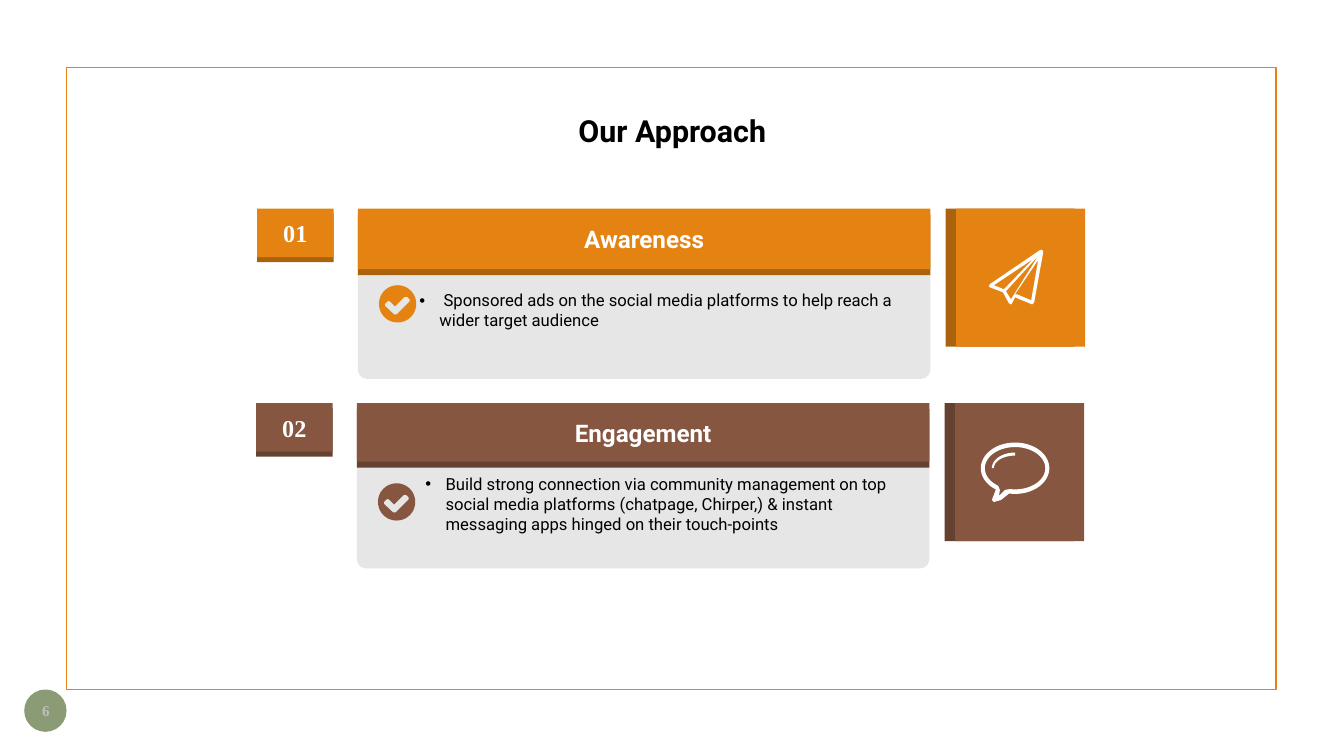
"""Build the "Our Approach" slide on a grid of tenth-of-an-inch cells."""
import math

from lxml import etree
from pptx import Presentation, util as u
from pptx.dml.color import RGBColor
from pptx.enum import shapes, text
from pptx.oxml.ns import qn

CELL = u.Inches(0.1)
COLUMNS, ROWS = 133.33, 75
COLOURS = {
    "orange": "E48312", "dark orange": "AB620D",
    "brown": "865640", "dark brown": "654130",
    "panel": "E6E6E6", "sage": "8B9B76", "number": "BFBFBF",
    "black": "000000", "white": "FFFFFF",
}
SANS, SERIF = "Roboto", "Times New Roman"
KIND = shapes.MSO_SHAPE
CENTRE = text.PP_ALIGN.CENTER

STEPS = [
    dict(number="01", heading="Awareness", colour="orange", left=25.5, top=20.7,
         header=6, body=10.4, tick=(39.45, 30.15), words_at=(41.6, 28.8), before=2.4,
         words=" Sponsored ads on the social media platforms to help reach a "
               "wider target audience"),
    dict(number="02", heading="Engagement", colour="brown", left=25.4, top=40,
         header=5.8, body=10.1, tick=(39.35, 49.8), words_at=(42.2, 47), before=0,
         words="Build strong connection via community management on top social "
               "media platforms (chatpage, Chirper,) & instant messaging apps "
               "hinged on their touch-points"),
]
TICK = [(1.2, -0.45), (0.95, -0.7), (0.7, -0.7), (-0.25, 0.25), (-0.75, -0.25),
        (-0.95, -0.3), (-1.25, 0), (-1.25, 0.2), (-0.35, 1.05), (-0.1, 1.05),
        (1.2, -0.25)]
PLANE = [
    [(103.4, 24.8), (103.2, 24.8), (98.2, 28.2), (98.1, 28.4), (98.2, 28.5),
     (99.5, 29), (100.1, 30.1), (100.3, 30.2), (100.4, 30.1), (100.7, 29.5),
     (102.4, 30.2), (102.6, 30), (103.5, 25)],
    [(98.6, 28.3), (102.5, 25.7), (99.6, 28.7)],
    [(99.8, 28.9), (103, 25.4), (100.3, 29.7)],
    [(102.3, 29.8), (100.9, 29.2), (100.7, 29.2), (103, 25.8)],
]


def rgb(name):
    return RGBColor.from_string(COLOURS[name])


def cells(*lengths):
    return [round(length * CELL) for length in lengths]


def paint(shape, fill):
    shape.shadow.inherit = False
    shape.fill.solid()
    shape.fill.fore_color.rgb = rgb(fill)
    shape.line.fill.background()
    return shape


def block(page, area, fill, kind=KIND.RECTANGLE):
    return paint(page.shapes.add_shape(kind, *cells(*area)), fill)


def write(shape, words, size, font, colour, bold=True, align=CENTRE):
    frame = shape.text_frame
    frame.word_wrap = True
    frame.vertical_anchor = text.MSO_ANCHOR.MIDDLE
    para = frame.paragraphs[0]
    para.text = words
    para.alignment = align
    para.font.size, para.font.name, para.font.bold = u.Pt(size), font, bold
    para.font.color.rgb = rgb(colour)
    return para


def text_box(page, area, inset=True):
    box = page.shapes.add_textbox(*cells(*area))
    if not inset:
        frame = box.text_frame
        frame.margin_left = frame.margin_right = 0
        frame.margin_top = frame.margin_bottom = 0
    return box


def bullet(page, at, words, before):
    box = text_box(page, (*at, 48.8, 4), inset=False)
    para = write(box, words, 11.9, SANS, "black", False, text.PP_ALIGN.LEFT)
    box.text_frame.vertical_anchor = text.MSO_ANCHOR.TOP
    para.space_before = u.Pt(before)
    settings = para._p.get_or_add_pPr()
    settings.set("marL", str(2 * CELL))
    settings.set("indent", str(-2 * CELL))
    etree.SubElement(settings, qn("a:buFont")).set("typeface", "Arial")
    etree.SubElement(settings, qn("a:buChar")).set("char", "•")


def arc(centre, radii, start=0, end=360, count=48):
    angles = [math.radians(start + (end - start) * i / count) for i in range(count + 1)]
    return [(centre[0] + radii[0] * math.cos(a), centre[1] + radii[1] * math.sin(a))
            for a in angles]


def outline(page, contours, fill):
    first, *others = [[cells(*point) for point in contour] for contour in contours]
    builder = page.shapes.build_freeform(*first[0])
    builder.add_line_segments(first[1:])
    for contour in others:
        builder.move_to(*contour[0])
        builder.add_line_segments(contour[1:])
    return paint(builder.convert_to_shape(), fill)


def tick(page, centre, colour):
    mark = [(centre[0] + x, centre[1] + y) for x, y in TICK]
    outline(page, [arc(centre, (1.85, 1.85)), mark], colour)


def plane(page):
    outline(page, PLANE, "white")


def bubble(page):
    centre = (100.7, 46.45)
    glint = arc(centre, (2.3, 1.55), 180, 270) + arc(centre, (2.1, 1.25), 270, 180)
    outer = arc(centre, (3.4, 2.55), 124, 460) + [(99.3, 49.6), (98.6, 49.8), (98.4, 49.6)]
    inner = arc(centre, (3, 2.1), 124, 460) + [(99.7, 48.6), (99.1, 49.2), (99.2, 48.6)]
    outline(page, [glint], "white")
    outline(page, [outer, inner], "white")


def step(page, number, heading, colour, left, top, header, body, tick_at, words_at,
         before, words):
    dark, middle, right = "dark " + colour, left + 10, left + 68.3
    panel = block(page, (middle, top + header + 0.5, 56.8, body), "panel",
                  KIND.ROUND_2_SAME_RECTANGLE)
    panel.adjustments[0], panel.adjustments[1] = 0, 0.09
    block(page, (middle, top + 0.6, 56.8, header), dark)
    write(block(page, (middle, top, 56.8, header), colour), heading, 17.3, SANS, "white")
    block(page, (left, top + 0.5, 7.6, 4.8), dark)
    write(block(page, (left, top, 7.6, 4.8), colour), number, 17.3, SERIF, "white")
    block(page, (right, top, 12.8, 13.7), dark)
    block(page, (right + 1.05, top, 12.8, 13.7), colour)
    bullet(page, words_at, words, before)
    tick(page, tick_at, colour)


def main():
    deck = Presentation()
    deck.slide_width, deck.slide_height = cells(COLUMNS, ROWS)
    page = deck.slides.add_slide(deck.slide_layouts[6])
    border = block(page, (6.6, 6.7, 120, 61.7), "white")
    border.fill.background()
    border.line.color.rgb = rgb("orange")
    border.line.width = u.Pt(1.25)
    block(page, (2.4, 68.4, 4.2, 4.2), "sage", KIND.OVAL)
    write(text_box(page, (1.2, 68.5, 6.7, 4)), "6", 10.8, SERIF, "number")
    write(text_box(page, (25.6, 10.3, 82.2, 5.2), inset=False), "Our Approach",
          21.7, SANS, "black")
    for details in STEPS:
        fields = dict(details)
        step(page, tick_at=fields.pop("tick"), **fields)
    plane(page)
    bubble(page)
    deck.save("out.pptx")


if __name__ == "__main__":
    main()
